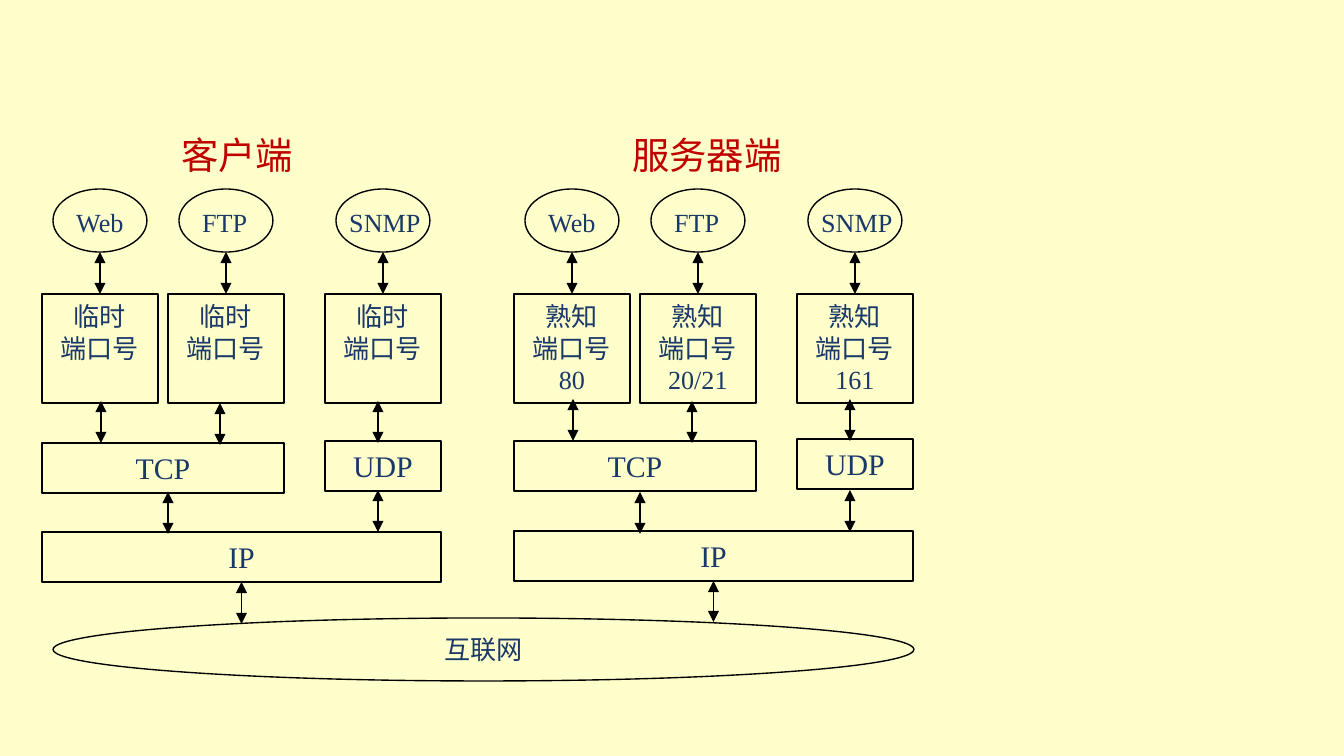
from pptx import Presentation, util as u
from pptx.dml.color import RGBColor
from pptx.enum import shapes, text
from lxml import etree

SCALE = 914400 / 134.4
INK = "1A3868"
NS = "http://schemas.openxmlformats.org/drawingml/2006/main"
RECT, OVAL = shapes.MSO_SHAPE.RECTANGLE, shapes.MSO_SHAPE.OVAL

deck = Presentation()
deck.slide_width, deck.slide_height = u.Inches(10), u.Inches(5.625)
slide = deck.slides.add_slide(deck.slide_layouts[6])
slide.background.fill.solid()
slide.background.fill.fore_color.rgb = RGBColor.from_string("FFFFCC")


def block(kind, box, lines=(), size=14, hue=INK):
    place = [round(n * SCALE) for n in box]
    if kind is None:
        item = slide.shapes.add_textbox(*place)
    else:
        item = slide.shapes.add_shape(kind, *place)
        item.shadow.inherit = False
        item.fill.background()
        item.line.color.rgb = RGBColor.from_string("000000")
        item.line.width = u.Pt(0.75)
    frame = item.text_frame
    frame.word_wrap = True
    if kind == OVAL:
        frame.vertical_anchor = text.MSO_ANCHOR.MIDDLE
    else:
        frame.vertical_anchor = text.MSO_ANCHOR.TOP
        frame.auto_size = text.MSO_AUTO_SIZE.SHAPE_TO_FIT_TEXT
    for i, line in enumerate(lines):
        para = frame.paragraphs[0] if i == 0 else frame.add_paragraph()
        para.alignment = text.PP_ALIGN.LEFT if kind is None else text.PP_ALIGN.CENTER
        run = para.add_run()
        run.text = line
        run.font.name = "Times New Roman"
        run.font.size = u.Pt(size)
        run.font.color.rgb = RGBColor.from_string(hue)
    return item


def arrow(x, top, end):
    ends = [round(n * SCALE) for n in (x, top, x, end)]
    link = slide.shapes.add_connector(shapes.MSO_CONNECTOR.STRAIGHT, *ends)
    link.line.color.rgb = RGBColor.from_string("000000")
    link.line.width = u.Pt(0.75)
    stroke = link.line._get_or_add_ln()
    for tag in ("headEnd", "tailEnd"):
        etree.SubElement(stroke, f"{{{NS}}}{tag}", type="triangle")
    etree.SubElement(link._element.spPr, f"{{{NS}}}effectLst")
    return link


apps = [("Web", 42, 63, 94), ("FTP", 168, 189, 94), ("SNMP", 325, 336, 126)]
sides = [
    (0, 0, "客户端", 168, 168, "临时", ["", "", ""]),
    (472, 2, "服务器端", 619, 210, "熟知", ["80", "20/21", "161"]),
]

block(OVAL, (53, 618, 861, 63), ["互联网"])

for dx, lift, title, left, width, sort, ports in sides:
    block(None, (left, 126, width, 59), [title], 20, "C00000")
    for (app, x, label, wide), port in zip(apps, ports):
        block(OVAL, (dx + x + 11, 189, 94, 63))
        block(None, (dx + label, 200, wide, 46), [app])
        lines = [sort, "端口号"] + ([port] if port else [])
        gate = block(RECT, (dx + x, 294, 116, 109), lines)
        arrow(dx + x + 58, 252, 294).end_connect(gate, 0)

    block(RECT, (dx + 42, 443 - lift, 242, 50), ["TCP"], 16)
    block(RECT, (dx + 325, 441 - lift, 116, 50), ["UDP"], 16)
    net = block(RECT, (dx + 42, 532 - lift // 2, 399, 50), ["IP"], 16)

    for x, top in [(101, 401), (220, 403), (378, 401)]:
        arrow(dx + x, top - lift, top + 42 - lift)
    for x, top in [(168, 492), (378, 490)]:
        arrow(dx + x, top, top + 42)
    arrow(dx + 241.5, 582, 624 - lift).begin_connect(net, 2)

deck.save("out.pptx")
